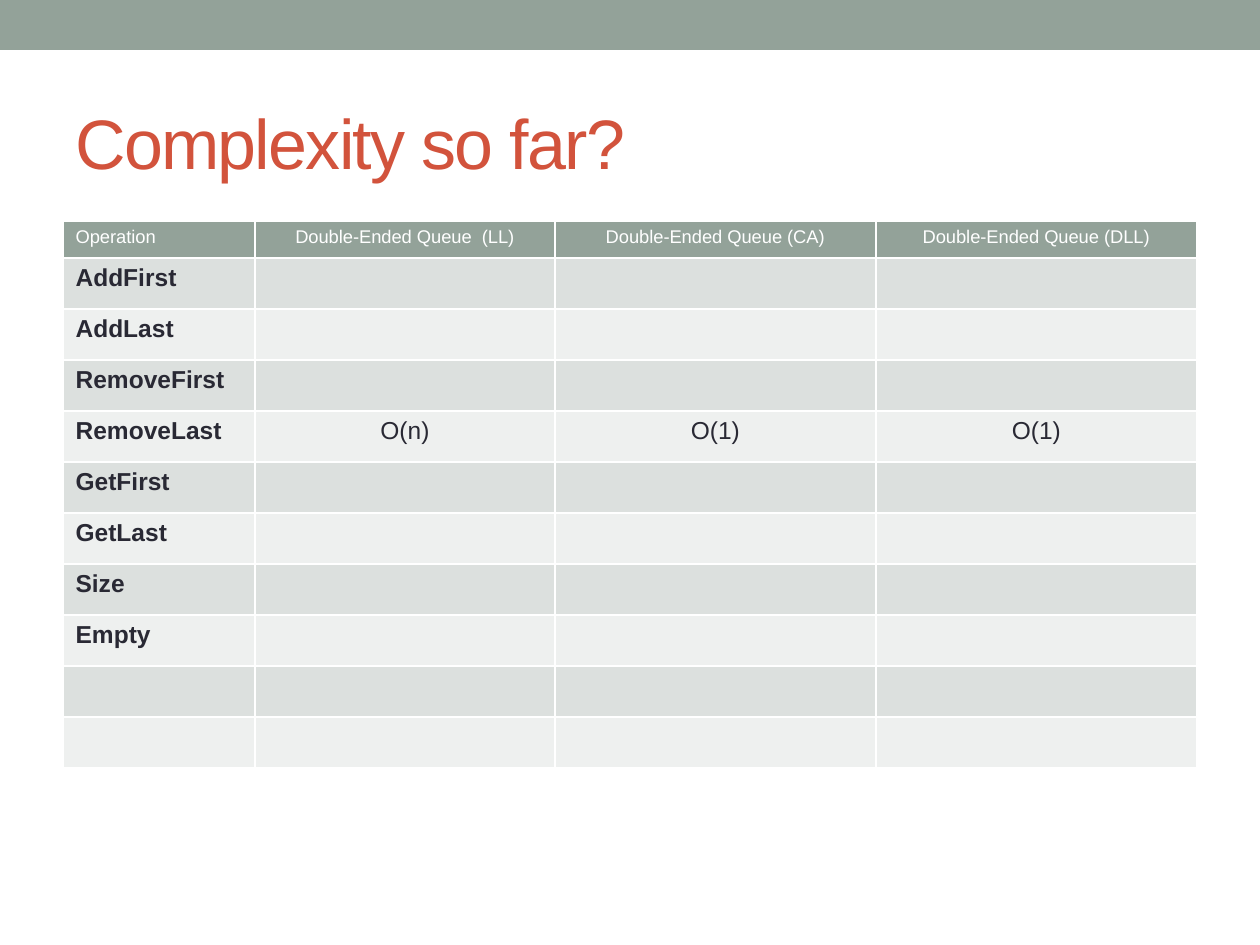
from lxml.etree import SubElement
from pptx import Presentation
from pptx.dml.color import RGBColor
from pptx.enum.shapes import MSO_SHAPE
from pptx.enum.text import MSO_ANCHOR, PP_ALIGN
from pptx.oxml.ns import qn
from pptx.util import Emu, Pt

PIXELS_PER_INCH = 126
FONT = "Arial"
COLORS = {
    "sage": "93A299",
    "title": "D2533C",
    "text": "292934",
    "white": "FFFFFF",
    "band_dark": "DCE0DE",
    "band_light": "EEF0EF",
}

HEADERS = ["Operation", "Double-Ended Queue  (LL)",
           "Double-Ended Queue (CA)", "Double-Ended Queue (DLL)"]
OPERATIONS = ["AddFirst", "AddLast", "RemoveFirst", "RemoveLast",
              "GetFirst", "GetLast", "Size", "Empty", "", ""]
COMPLEXITIES = {"RemoveLast": ["O(n)", "O(1)", "O(1)"]}
COLUMN_WIDTHS = [192, 300, 321, 321]
HEADER_HEIGHT = 37
ROW_HEIGHT = 51


def px(value):
    return Emu(round(value * 914400 / PIXELS_PER_INCH))


def color(name):
    return RGBColor.from_string(COLORS[name])


def add_run(paragraph, text, size, color_name, bold=False):
    run = paragraph.add_run()
    run.text = text
    run.font.name = FONT
    run.font.size = Pt(size)
    run.font.bold = bold
    run.font.color.rgb = color(color_name)
    return run


def add_top_band(slide, left, top, width, height):
    shape = slide.shapes.add_shape(
        MSO_SHAPE.RECTANGLE, px(left), px(top), px(width), px(height))
    shape.shadow.inherit = False
    shape.fill.solid()
    shape.fill.fore_color.rgb = color("sage")
    shape.line.fill.background()


def add_title(slide, left, top, width, height):
    shape = slide.shapes.add_textbox(px(left), px(top), px(width), px(height))
    text_frame = shape.text_frame
    text_frame.word_wrap = True
    text_frame.vertical_anchor = MSO_ANCHOR.MIDDLE
    run = add_run(text_frame.paragraphs[0], "Complexity so far?", 40, "title")
    run.font._element.set("spc", "-100")  # letter spacing of -1 pt


def set_borders(cell, bottom_width):
    """Draw white borders; they must precede the fill in the cell XML."""
    properties = cell._tc.get_or_add_tcPr()
    for side, width in (("L", 1), ("R", 1), ("T", 1), ("B", bottom_width)):
        line = SubElement(properties, qn(f"a:ln{side}"), w=str(Pt(width)))
        fill = SubElement(line, qn("a:solidFill"))
        SubElement(fill, qn("a:srgbClr"), val=COLORS["white"])


def style_cell(cell, fill_name, bottom_width=1):
    set_borders(cell, bottom_width)
    cell.fill.solid()
    cell.fill.fore_color.rgb = color(fill_name)


def add_complexity_table(slide, left, top):
    row_heights = [HEADER_HEIGHT] + [ROW_HEIGHT] * len(OPERATIONS)
    table = slide.shapes.add_table(
        len(row_heights), len(COLUMN_WIDTHS), px(left), px(top),
        px(sum(COLUMN_WIDTHS)), px(sum(row_heights))).table
    for column, width in zip(table.columns, COLUMN_WIDTHS):
        column.width = px(width)
    for row, height in zip(table.rows, row_heights):
        row.height = px(height)

    rows = [HEADERS] + [[operation] + COMPLEXITIES.get(operation, [""] * 3)
                        for operation in OPERATIONS]
    for row_index, texts in enumerate(rows):
        is_header = row_index == 0
        band = "band_dark" if row_index % 2 else "band_light"
        for column_index, text in enumerate(texts):
            cell = table.cell(row_index, column_index)
            style_cell(cell, "sage" if is_header else band)
            paragraph = cell.text_frame.paragraphs[0]
            if column_index > 0:
                paragraph.alignment = PP_ALIGN.CENTER
            if text and is_header:
                add_run(paragraph, text, 10.5, "white")
            elif text:
                add_run(paragraph, text, 14, "text", bold=column_index == 0)


def main():
    presentation = Presentation()
    presentation.slide_width = px(1260)
    presentation.slide_height = px(945)
    slide = presentation.slides.add_slide(presentation.slide_layouts[6])

    # Band across the top
    add_top_band(slide, 0, 0, 1260, 50)
    # Title
    add_title(slide, 63, 73, 1134, 136)
    # Table of operations by queue implementation
    add_complexity_table(slide, 63, 221)

    presentation.save("out.pptx")


if __name__ == "__main__":
    main()
